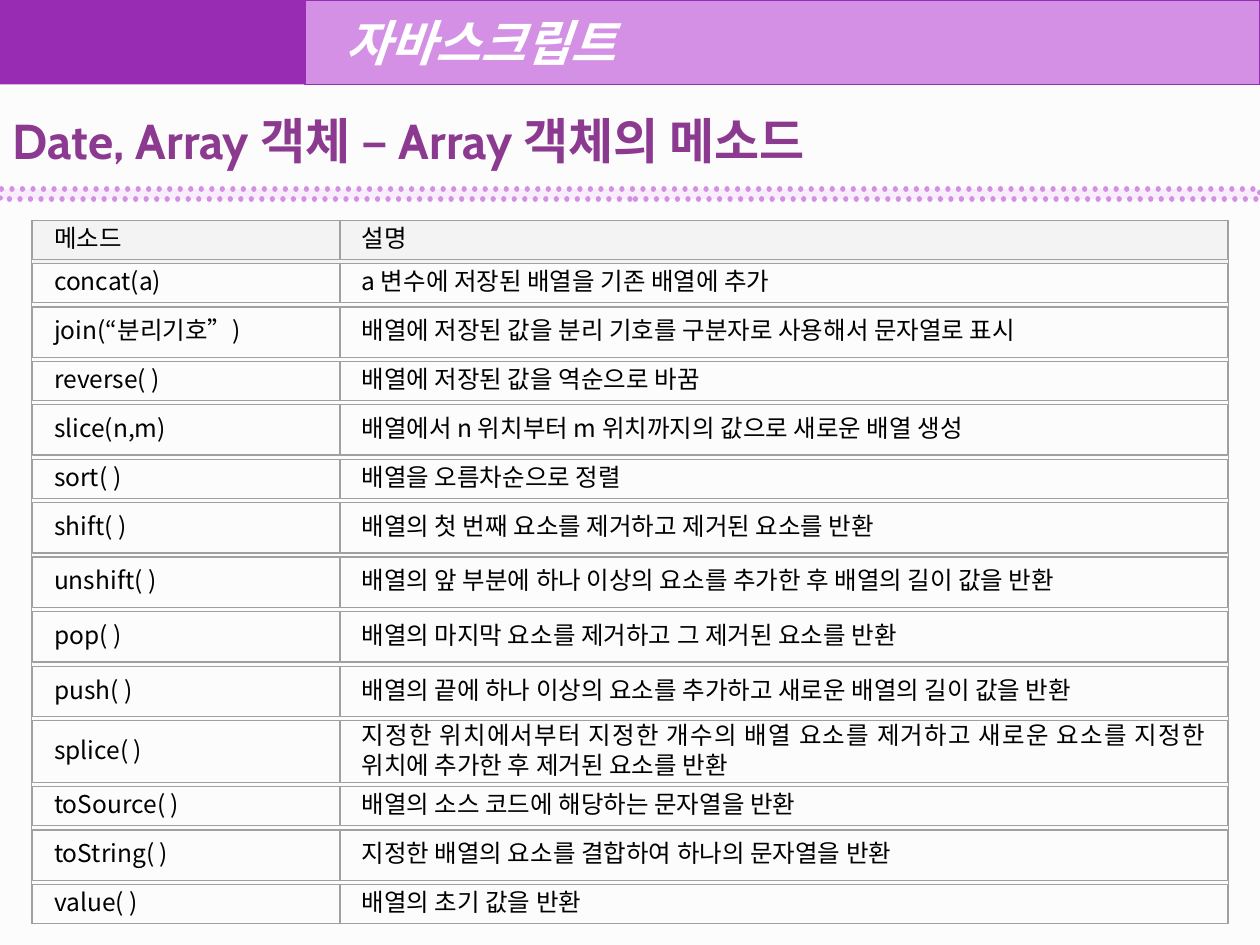
from lxml.etree import SubElement
from pptx import Presentation
from pptx.dml.color import RGBColor
from pptx.enum.dml import MSO_LINE
from pptx.enum.shapes import MSO_SHAPE
from pptx.enum.text import MSO_ANCHOR, MSO_AUTO_SIZE, PP_ALIGN
from pptx.oxml.ns import qn
from pptx.util import Inches, Pt

PURPLE = RGBColor(0x98, 0x2C, 0xB2)
LILAC = RGBColor(0xD4, 0x90, 0xE4)
PALE_LILAC = RGBColor(0xF8, 0xED, 0xFB)
PLUM = RGBColor(0x8C, 0x3A, 0x90)
PAPER = RGBColor(0xFB, 0xFB, 0xFD)
HEAD_GRAY = RGBColor(0xF3, 0xF3, 0xF3)
LINE_GRAY = RGBColor(0xA0, 0xA0, 0xA0)
WHITE = RGBColor(0xFF, 0xFF, 0xFF)
BLACK = RGBColor(0, 0, 0)

HEADING_FONT, HANGUL_FONT = "Cabin", "Noto Sans CJK KR"
PLAIN_TABLE = "{2D5ABB26-0587-4C30-8999-92F81FD0307C}"
SLIDE_W, SLIDE_H = 10, 7.5
HEADER_H = 0.67
COLUMNS = (2.44, 7.04)
CELL_INSET = 0.17
SHORT, TALL, DOUBLE = 0.31, 0.4, 0.49

METHODS = [
    ("메소드", "설명", SHORT),
    ("concat(a)", "a 변수에 저장된 배열을 기존 배열에 추가", SHORT),
    ("join(“분리기호”)", "배열에 저장된 값을 분리 기호를 구분자로 사용해서 문자열로 표시", TALL),
    ("reverse( )", "배열에 저장된 값을 역순으로 바꿈", SHORT),
    ("slice(n,m)", "배열에서 n 위치부터 m 위치까지의 값으로 새로운 배열 생성", TALL),
    ("sort( )", "배열을 오름차순으로 정렬", SHORT),
    ("shift( )", "배열의 첫 번째 요소를 제거하고 제거된 요소를 반환", TALL),
    ("unshift( )", "배열의 앞 부분에 하나 이상의 요소를 추가한 후 배열의 길이 값을 반환", TALL),
    ("pop( )", "배열의 마지막 요소를 제거하고 그 제거된 요소를 반환", TALL),
    ("push( )", "배열의 끝에 하나 이상의 요소를 추가하고 새로운 배열의 길이 값을 반환", TALL),
    ("splice( )", "지정한 위치에서부터 지정한 개수의 배열 요소를 제거하고 새로운 요소를 지정한 "
     "위치에 추가한 후 제거된 요소를 반환", DOUBLE),
    ("toSource( )", "배열의 소스 코드에 해당하는 문자열을 반환", SHORT),
    ("toString( )", "지정한 배열의 요소를 결합하여 하나의 문자열을 반환", TALL),
    ("value( )", "배열의 초기 값을 반환", SHORT),
]


def add_box(slide, box, fill=None, line=None, width=0):
    shape = slide.shapes.add_shape(MSO_SHAPE.RECTANGLE, *map(Inches, box))
    shape.shadow.inherit = False
    if fill is None:
        shape.fill.background()
    else:
        shape.fill.solid()
        shape.fill.fore_color.rgb = fill
    if line is None:
        shape.line.fill.background()
    else:
        shape.line.color.rgb = line
        shape.line.width = Pt(width)
    return shape


def add_run(paragraph, text, size, color, latin, bold=False, italic=False):
    run = paragraph.add_run()
    run.text = text
    font = run.font
    font.size, font.bold, font.italic = Pt(size), bold, italic
    font.color.rgb = color
    font.name = latin
    SubElement(font._element, qn("a:ea"), typeface=HANGUL_FONT)


def add_header(slide, box):
    left, top, width, height = box
    accent_w = 0.242 * width
    add_box(slide, (left, top, accent_w, height), PURPLE)
    band = add_box(slide, (left + accent_w, top, width - accent_w, height),
                   LILAC, PURPLE, 0.75)
    frame = band.text_frame
    frame.margin_left = Inches(0.32)
    frame.vertical_anchor = MSO_ANCHOR.MIDDLE
    subject = frame.paragraphs[0]
    subject.alignment = PP_ALIGN.LEFT
    add_run(subject, "자바스크립트", 28, WHITE, HEADING_FONT, bold=True, italic=True)


def add_paper(slide, box):
    paper = add_box(slide, box, PAPER)
    color = paper.fill._xPr.find(qn("a:solidFill"))[0]
    SubElement(color, qn("a:alpha"), val="50000")


def add_heading(slide, box):
    title = slide.shapes.title
    title.left, title.top, title.width, title.height = map(Inches, box)
    # The title must lie above the translucent paper.
    slide.shapes._spTree.append(title._element)
    frame = title.text_frame
    frame.auto_size = MSO_AUTO_SIZE.NONE
    frame.word_wrap = True
    frame.vertical_anchor = MSO_ANCHOR.TOP
    heading = frame.paragraphs[0]
    heading.alignment = PP_ALIGN.LEFT
    add_run(heading, "Date, Array 객체 – Array 객체의 메소드", 28, PLUM,
            HEADING_FONT, bold=True)


def add_divider(slide, box):
    divider = add_box(slide, box, PALE_LILAC, LILAC, 3)
    divider.line.dash_style = MSO_LINE.ROUND_DOT
    divider.line._ln.set("cap", "rnd")


def fill_cell(cell, text, gap, fill=None):
    """Write one cell, keeping the gap under it free."""
    cell.margin_left = cell.margin_right = Inches(CELL_INSET)
    cell.margin_top, cell.margin_bottom = 0, Inches(gap)
    cell.vertical_anchor = MSO_ANCHOR.MIDDLE
    if fill is None:
        cell.fill.background()
    else:
        cell.fill.solid()
        cell.fill.fore_color.rgb = fill
    paragraph = cell.text_frame.paragraphs[0]
    paragraph.alignment = PP_ALIGN.JUSTIFY
    paragraph.line_spacing = Pt(17)
    add_run(paragraph, text, 14, BLACK, HANGUL_FONT)


def add_method_table(slide, box):
    """Table whose cells are outlined separately, with equal gaps between rows."""
    left, top, width, height = box
    gap = (height - sum(row[-1] for row in METHODS)) / (len(METHODS) - 1)
    first_x = left + (width - sum(COLUMNS)) / 2
    graphic = slide.shapes.add_table(
        len(METHODS), len(COLUMNS), Inches(first_x), Inches(top),
        Inches(sum(COLUMNS)), Inches(height + gap))
    table = graphic.table
    table.horz_banding = False
    table._tbl.tblPr.find(qn("a:tableStyleId")).text = PLAIN_TABLE
    for column, column_w in zip(table.columns, COLUMNS):
        column.width = Inches(column_w)
    y = top
    for index, (*texts, row_h) in enumerate(METHODS):
        table.rows[index].height = Inches(row_h + gap)
        fill = HEAD_GRAY if index == 0 else None
        x = first_x
        for cell, text, column_w in zip(table.rows[index].cells, texts, COLUMNS):
            fill_cell(cell, text, gap, fill)
            add_box(slide, (x, y, column_w, row_h), line=LINE_GRAY)
            x += column_w
        y += row_h + gap
    add_box(slide, box, line=LINE_GRAY, width=0.75)


def main():
    deck = Presentation()
    deck.slide_width, deck.slide_height = Inches(SLIDE_W), Inches(SLIDE_H)
    slide = deck.slides.add_slide(deck.slide_layouts[5])
    add_paper(slide, (0, HEADER_H, SLIDE_W, SLIDE_H - HEADER_H))
    add_header(slide, (0, 0, SLIDE_W, HEADER_H))
    add_method_table(slide, (0.25, 1.75, 9.5, 5.58))
    add_heading(slide, (0, 0.83, 9.75, 0.57))
    add_divider(slide, (0, 1.5, SLIDE_W, 0.08))
    deck.save("out.pptx")


if __name__ == "__main__":
    main()
